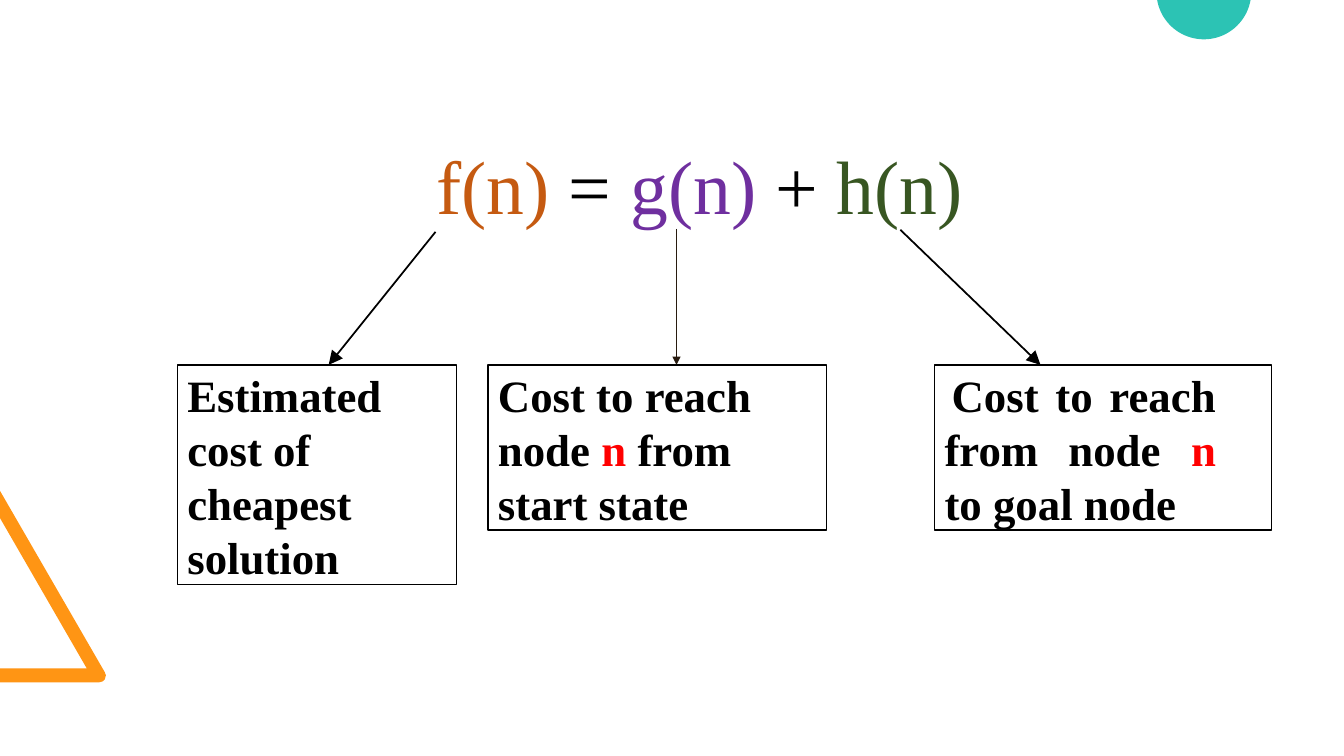
from math import asin, cos, pi, sin

from lxml.etree import SubElement
from pptx import Presentation
from pptx.dml.color import RGBColor
from pptx.enum.shapes import MSO_CONNECTOR as Connector, MSO_SHAPE as Shape
from pptx.enum.text import MSO_ANCHOR as Anchor, PP_ALIGN as Align
from pptx.oxml.ns import qn
from pptx.util import Pt

PX = 9144  # 100 px to the inch
FONT = "Times New Roman"
COLORS = {
    "black": "000000", "orange": "C55A11", "purple": "6F2F9F",
    "green": "385622", "red": "FF0000", "brown": "281B10",
    "triangle": "FF9514", "circle": "2CC3B4",
}
BOX_TOP = 362


def px(*lengths):
    return [round(length * PX) for length in lengths]


def color(name):
    return RGBColor.from_string(COLORS[name])


def add_spans(para, spans, size, bold=False):
    for text, color_name in spans:
        span = para.add_run()
        span.text = text
        span.font.name = FONT
        span.font.size = Pt(size)
        span.font.bold = bold
        span.font.color.rgb = color(color_name)


def set_frame(frame, left, top, right):
    frame.word_wrap = True
    frame.vertical_anchor = Anchor.TOP
    frame.margin_left, frame.margin_top, frame.margin_right = px(left, top, right)
    frame.margin_bottom = 0


def add_outline(page, points, fill):
    """Closed filled shape through points given in px."""
    corners = [px(*point) for point in points]
    builder = page.shapes.build_freeform(*corners[0], scale=1.0)
    builder.add_line_segments(corners[1:], close=True)
    outline = builder.convert_to_shape()
    outline.shadow.inherit = False
    outline.fill.solid()
    outline.fill.fore_color.rgb = color(fill)
    outline.line.fill.background()


def add_formula(page, spans):
    title = page.shapes.title
    title.left, title.top, title.width, title.height = px(432, 137, 669, 92)
    set_frame(title.text_frame, 1, 1, 0)
    para = title.text_frame.paragraphs[0]
    para.alignment = Align.LEFT
    para.space_before = Pt(1)
    add_spans(para, spans, 54)


def add_box(page, left, width, height, spans, right_inset, align=Align.LEFT, indent=0):
    box = page.shapes.add_shape(Shape.RECTANGLE, *px(left, BOX_TOP, width, height))
    box.shadow.inherit = False
    box.fill.background()
    box.line.color.rgb = color("black")
    box.line.width = Pt(0.96)
    set_frame(box.text_frame, 10, 3, right_inset)
    para = box.text_frame.paragraphs[0]
    para.alignment = align
    para.space_before = Pt(2)
    if indent:
        para._p.get_or_add_pPr().set("indent", str(indent * PX))
    add_spans(para, spans, 32, bold=True)


def add_arrow(page, start, end, color_name, width, head):
    arrow = page.shapes.add_connector(Connector.STRAIGHT, *px(*start, *end))
    arrow.line.color.rgb = color(color_name)
    arrow.line.width = Pt(width)
    SubElement(arrow.line._get_or_add_ln(), qn("a:tailEnd"), type="triangle", w=head, len=head)
    SubElement(arrow._element.spPr, qn("a:effectLst"))


def add_decorations(page):
    # Triangle cut by the left edge, with a rounded right corner
    triangle = [(0, 677), (0, 663), (86, 663), (0, 514), (0, 487), (104, 667),
                (105, 670), (104, 674), (102, 676), (98, 677)]
    add_outline(page, triangle, "triangle")

    # Circle cut by the top edge
    center_x, center_y, radius, steps = 1194, -8, 47, 40
    start = asin(-center_y / radius)
    angles = [start + (pi - 2 * start) * step / steps for step in range(steps + 1)]
    arc = [(center_x + radius * cos(angle), center_y + radius * sin(angle))
           for angle in angles]
    add_outline(page, arc, "circle")


def main():
    deck = Presentation()
    deck.slide_width, deck.slide_height = px(1333, 750)
    page = deck.slides.add_slide(deck.slide_layouts[5])
    add_decorations(page)

    # Formula
    add_formula(page, [("f(n) ", "orange"), ("= ", "black"), ("g(n) ", "purple"),
                       ("+ ", "black"), ("h(n)", "green")])

    # Arrows from each term to its meaning
    add_arrow(page, (432, 230), (326, BOX_TOP), "black", 1.25, "lg")
    add_arrow(page, (893, 228), (1032, BOX_TOP), "black", 1.25, "lg")
    add_arrow(page, (671, 227), (671, BOX_TOP), "brown", 0.5, "med")

    # Meanings
    add_box(page, 176, 277, 218, [("Estimated cost of cheapest solution", "black")], 10)
    add_box(page, 484, 336, 164, [("Cost to reach node ", "black"), ("n ", "red"),
                                  ("from start state", "black")], 50)
    add_box(page, 927, 334, 164, [("Cost to reach from node ", "black"), ("n ", "red"),
                                  ("to goal node", "black")],
            55, Align.JUSTIFY, indent=7)

    deck.save("out.pptx")


if __name__ == "__main__":
    main()
